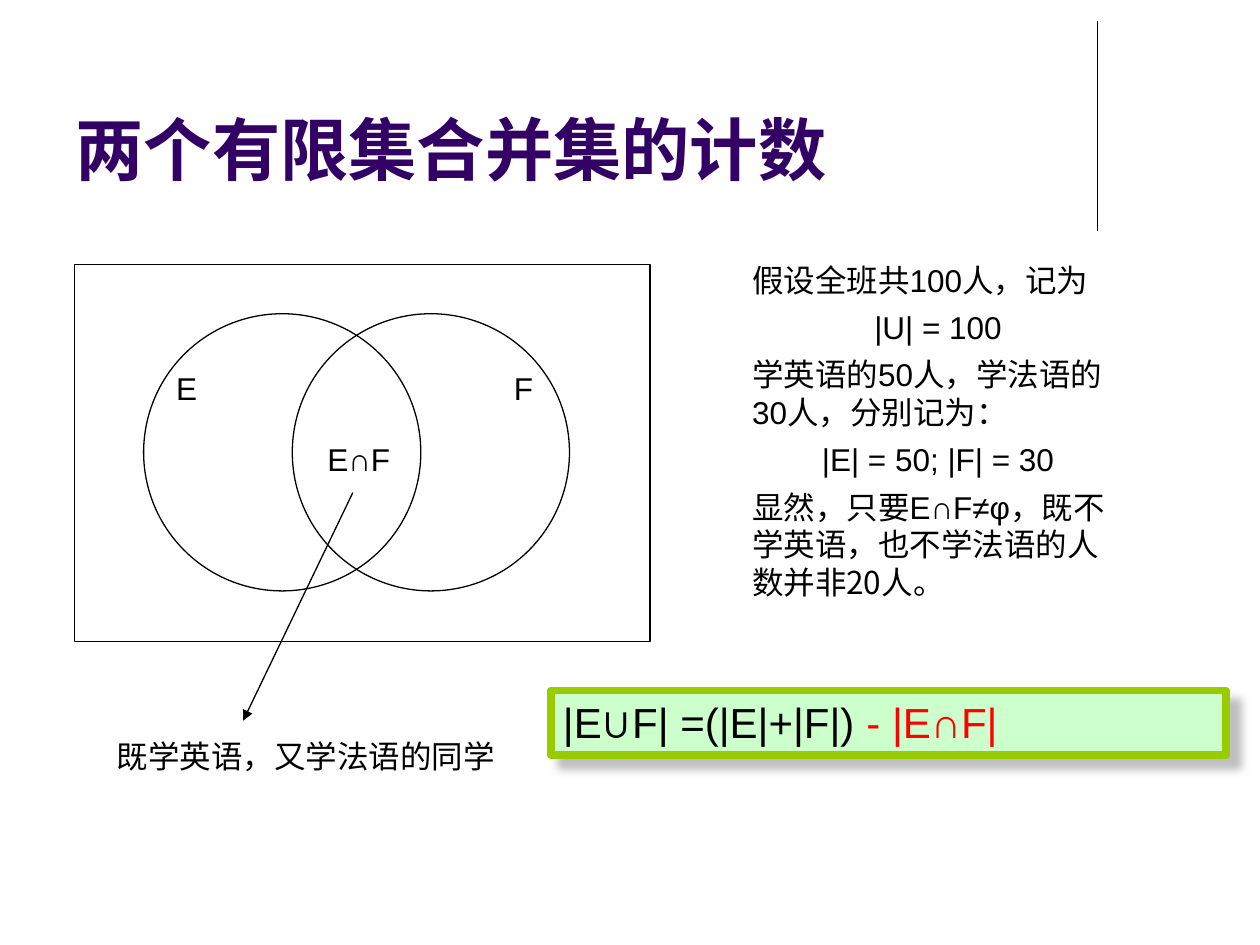
from lxml.etree import SubElement
from pptx import Presentation
from pptx.dml.color import RGBColor
from pptx.enum.shapes import MSO_CONNECTOR, MSO_SHAPE
from pptx.enum.text import MSO_ANCHOR, MSO_AUTO_SIZE, PP_ALIGN
from pptx.oxml import parse_xml
from pptx.oxml.ns import nsdecls, qn
from pptx.util import Inches, Pt

COLORS = {"ink": "000000", "title": "330066", "mint": "CCFFCC",
          "green": "99CC00", "red": "FF0000", "shade": "808080"}
LATIN, CJK = "Arial", "Noto Sans CJK SC"
TITLE = "两个有限集合并集的计数"
LABELS = [
    ("既学英语，又学法语的同学", (0.83, 5.8, 4.41, 0.4)),
    ("E", (1.3, 2.88, 0.39, 0.4)),
    ("F", (3.98, 2.88, 0.47, 0.4)),
    ("E∩F", (2.5, 3.44, 0.87, 0.4)),
]
NOTES = [
    (["假设全班共100人，记为"], PP_ALIGN.LEFT),
    (["|U| = 100"], PP_ALIGN.CENTER),
    (["学英语的50人，学法语的30人，分别记为："], PP_ALIGN.LEFT),
    (["|E| = 50; |F| = 30"], PP_ALIGN.CENTER),
    (["显然，只要E∩F≠φ，", "既不学英语，也不学法语的人数并非20人。"], PP_ALIGN.LEFT),
]
FORMULA = [("|E∪F| =(|E|+|F|) ", "ink"), ("- |E∩F|", "red")]
CIRCLES = [(left, 2.49, 2.2, 2.2) for left in (1.14, 2.32)]
FRAME = (0.59, 2.1, 4.57, 2.99)
RULE = (8.71, 0.17, 8.71, 1.83)
ARROW = (2.8, 3.91, 1.93, 5.72)


def tint(name):
    return RGBColor.from_string(COLORS[name])


def inches(box):
    return [Inches(part) for part in box]


def style(run, size, color="ink", bold=False, face=LATIN):
    font = run.font
    font.size, font.bold, font.name = Pt(size), bold, face
    font.color.rgb = tint(color)
    east = SubElement(run._r.get_or_add_rPr(), qn("a:ea"))
    east.set("typeface", CJK)
    font._element.find(qn("a:latin")).addnext(east)


def add_line(slide, ends, arrow=False):
    line = slide.shapes.add_connector(MSO_CONNECTOR.STRAIGHT, *inches(ends))
    line.line.width = Pt(0.75)
    line.line.color.rgb = tint("ink")
    if arrow:
        SubElement(line.line._get_or_add_ln(), qn("a:tailEnd")).set("type", "triangle")
    SubElement(line._element.spPr, qn("a:effectLst"))


def add_form(slide, kind, box, fill=None, edge="ink", width=0.75):
    form = slide.shapes.add_shape(kind, *inches(box))
    form.shadow.inherit = False
    if fill:
        form.fill.solid()
        form.fill.fore_color.rgb = tint(fill)
    else:
        form.fill.background()
    form.line.color.rgb = tint(edge)
    form.line.width = Pt(width)
    return form


def add_text(slide, box):
    frame = slide.shapes.add_textbox(*inches(box)).text_frame
    frame.word_wrap = True
    frame.auto_size = MSO_AUTO_SIZE.SHAPE_TO_FIT_TEXT
    return frame


def add_title(slide):
    title = slide.shapes.title
    title.left, title.top, title.width, title.height = inches((0.5, 0.13, 8.25, 1.42))
    frame = title.text_frame
    frame.text = TITLE
    frame.auto_size = MSO_AUTO_SIZE.NONE
    frame.vertical_anchor = MSO_ANCHOR.BOTTOM
    para = frame.paragraphs[0]
    para.alignment = PP_ALIGN.LEFT
    style(para.runs[0], 39, "title", True)


def add_notes(slide):
    frame = add_text(slide, (5.87, 2.02, 3.15, 2.86))
    for i, (parts, align) in enumerate(NOTES):
        para = frame.add_paragraph() if i else frame.paragraphs[0]
        para.alignment = align
        if i:
            para.space_before = Pt(5.4)
        for part, face in zip(parts, (LATIN, CJK)):
            run = para.add_run()
            run.text = part
            style(run, 18, face=face)


def add_formula(slide):
    form = add_form(slide, MSO_SHAPE.RECTANGLE, (4.37, 5.48, 5.36, 0.51),
                    "mint", "green", 4.5)
    glow = parse_xml(
        f'<a:outerShdw {nsdecls("a")} blurRad="{Pt(5)}" dist="{Pt(8.5)}" '
        f'dir="2700000" algn="tl" rotWithShape="0"><a:srgbClr val="{COLORS["shade"]}">'
        '<a:alpha val="50000"/></a:srgbClr></a:outerShdw>')
    form._element.spPr.find(qn("a:effectLst")).append(glow)
    frame = form.text_frame
    frame.word_wrap = True
    frame.auto_size = MSO_AUTO_SIZE.SHAPE_TO_FIT_TEXT
    frame.vertical_anchor = MSO_ANCHOR.TOP
    para = frame.paragraphs[0]
    para.alignment = PP_ALIGN.LEFT
    for text, color in FORMULA:
        run = para.add_run()
        run.text = text
        style(run, 24, color)


def main():
    """Build the slide on counting the union of two finite sets."""
    deck = Presentation()
    deck.slide_width, deck.slide_height = Inches(10), Inches(7.5)
    slide = deck.slides.add_slide(deck.slide_layouts[5])
    add_line(slide, RULE)
    add_title(slide)
    for box in CIRCLES:
        add_form(slide, MSO_SHAPE.OVAL, box)
    add_form(slide, MSO_SHAPE.RECTANGLE, FRAME)
    add_line(slide, ARROW, True)
    for text, box in LABELS:
        frame = add_text(slide, box)
        frame.text = text
        style(frame.paragraphs[0].runs[0], 18)
    add_notes(slide)
    add_formula(slide)
    deck.save("out.pptx")


if __name__ == "__main__":
    main()
